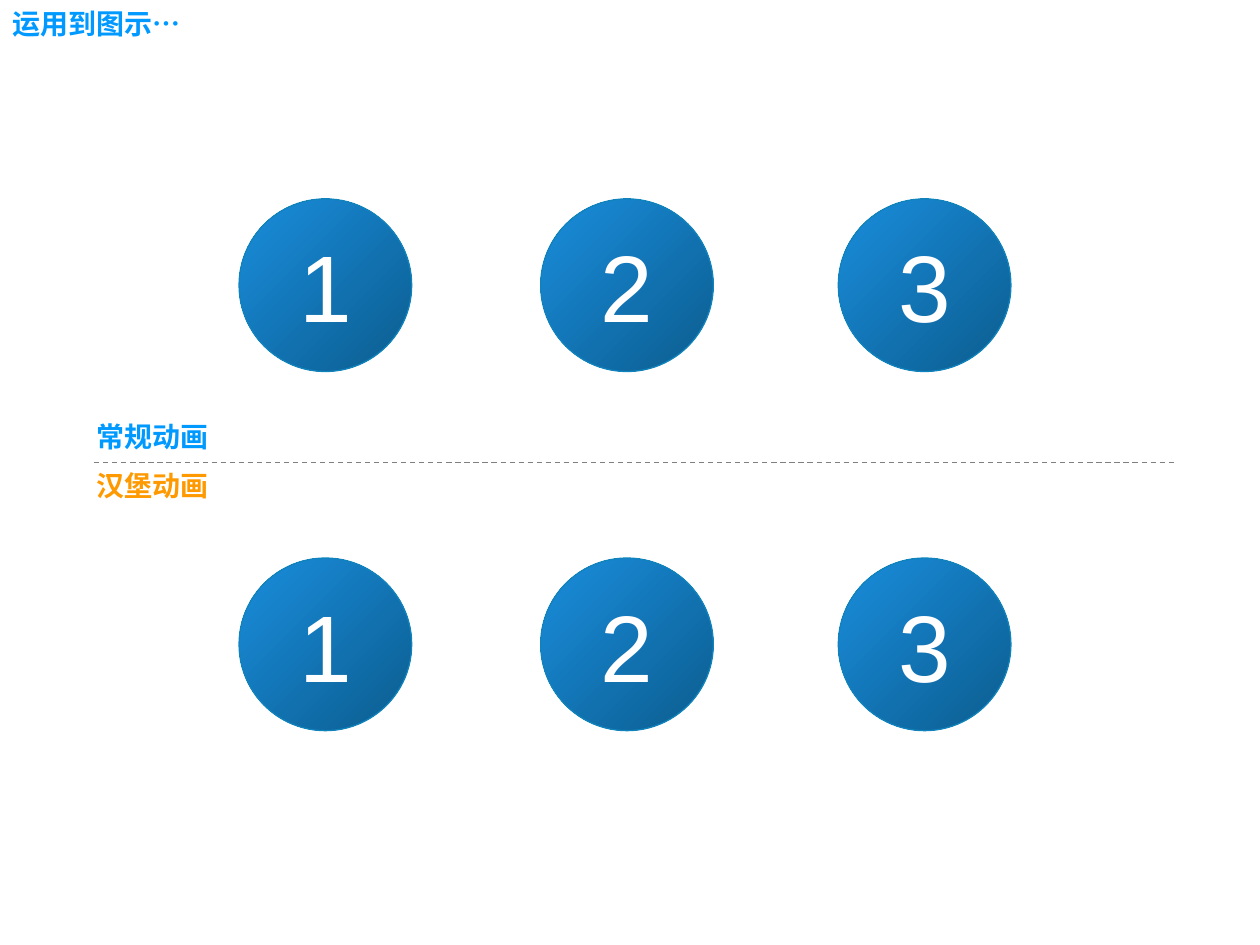
from lxml.etree import SubElement
from pptx import Presentation
from pptx.dml.color import RGBColor
from pptx.enum.dml import MSO_LINE
from pptx.enum.shapes import MSO_CONNECTOR, MSO_SHAPE
from pptx.enum.text import MSO_ANCHOR, MSO_AUTO_SIZE, PP_ALIGN
from pptx.oxml.ns import qn
from pptx.util import Cm, Pt

COLORS = {
    "blue": "0099FF",
    "orange": "FF9900",
    "dark": "0B5D8F",
    "light": "1A8DDC",
    "rim": "1083BC",
    "divider": "808080",
    "white": "FFFFFF",
}
HEADING_FONT, NUMBER_FONT = "Noto Sans CJK SC", "Arial"

TITLE = "运用到图示…"
SECTIONS = [  # label, color, label top, circle row top (cm)
    ("常规动画", "blue", 8.33, 4.01),
    ("汉堡动画", "orange", 9.33, 11.25),
]
STEPS = [("1", 4.82), ("2", 10.9), ("3", 16.9)]  # number, circle left (cm)
DIAMETER = 3.48
LABEL_LEFT, LABEL_WIDTH, LABEL_HEIGHT = 1.7, 2.85, 0.94
TITLE_WIDTH = 3.95
DIVIDER_LEFT, DIVIDER_RIGHT, DIVIDER_TOP = 1.9, 23.7, 9.32


def rgb(name):
    return RGBColor.from_string(COLORS[name])


def write_heading(box, text, color):
    frame = box.text_frame
    frame.text = text
    frame.word_wrap = False
    frame.auto_size = MSO_AUTO_SIZE.SHAPE_TO_FIT_TEXT
    frame.vertical_anchor = MSO_ANCHOR.TOP
    paragraph = frame.paragraphs[0]
    paragraph.alignment = PP_ALIGN.LEFT
    font = paragraph.runs[0].font
    font.size, font.bold, font.name = Pt(16), True, HEADING_FONT
    font.color.rgb = rgb(color)
    SubElement(font._element, qn("a:ea")).set("typeface", HEADING_FONT)


def add_circle(slide, number, left, top):
    circle = slide.shapes.add_shape(
        MSO_SHAPE.OVAL, Cm(left), Cm(top), Cm(DIAMETER), Cm(DIAMETER))
    circle.shadow.inherit = False
    circle.fill.gradient()
    circle.fill.gradient_angle = 135
    for stop, color in zip(circle.fill.gradient_stops, ("dark", "light")):
        stop.color.rgb = rgb(color)
    circle.line.color.rgb = rgb("rim")
    circle.line.width = Pt(0.75)
    frame = circle.text_frame
    frame.text = number
    frame.word_wrap = False
    frame.vertical_anchor = MSO_ANCHOR.MIDDLE
    paragraph = frame.paragraphs[0]
    paragraph.alignment = PP_ALIGN.CENTER
    font = paragraph.runs[0].font
    font.size, font.name = Pt(54), NUMBER_FONT
    font.color.rgb = rgb("white")


def add_divider(slide):
    divider = slide.shapes.add_connector(
        MSO_CONNECTOR.STRAIGHT, Cm(DIVIDER_LEFT), Cm(DIVIDER_TOP),
        Cm(DIVIDER_RIGHT), Cm(DIVIDER_TOP))
    divider.line.color.rgb = rgb("divider")
    divider.line.width = Pt(0.75)
    divider.line.dash_style = MSO_LINE.DASH
    SubElement(divider._element.spPr, qn("a:effectLst"))


def main():
    presentation = Presentation()
    presentation.slide_width, presentation.slide_height = Cm(25.4), Cm(19.05)
    slide = presentation.slides.add_slide(presentation.slide_layouts[5])

    title = slide.shapes.title
    title.left, title.top = Cm(0), Cm(0)
    title.width, title.height = Cm(TITLE_WIDTH), Cm(LABEL_HEIGHT)
    write_heading(title, TITLE, "blue")

    add_divider(slide)
    for label, color, label_top, row_top in SECTIONS:
        for number, left in STEPS:
            add_circle(slide, number, left, row_top)
        box = slide.shapes.add_textbox(
            Cm(LABEL_LEFT), Cm(label_top), Cm(LABEL_WIDTH), Cm(LABEL_HEIGHT))
        write_heading(box, label, color)

    presentation.save("out.pptx")


if __name__ == "__main__":
    main()
